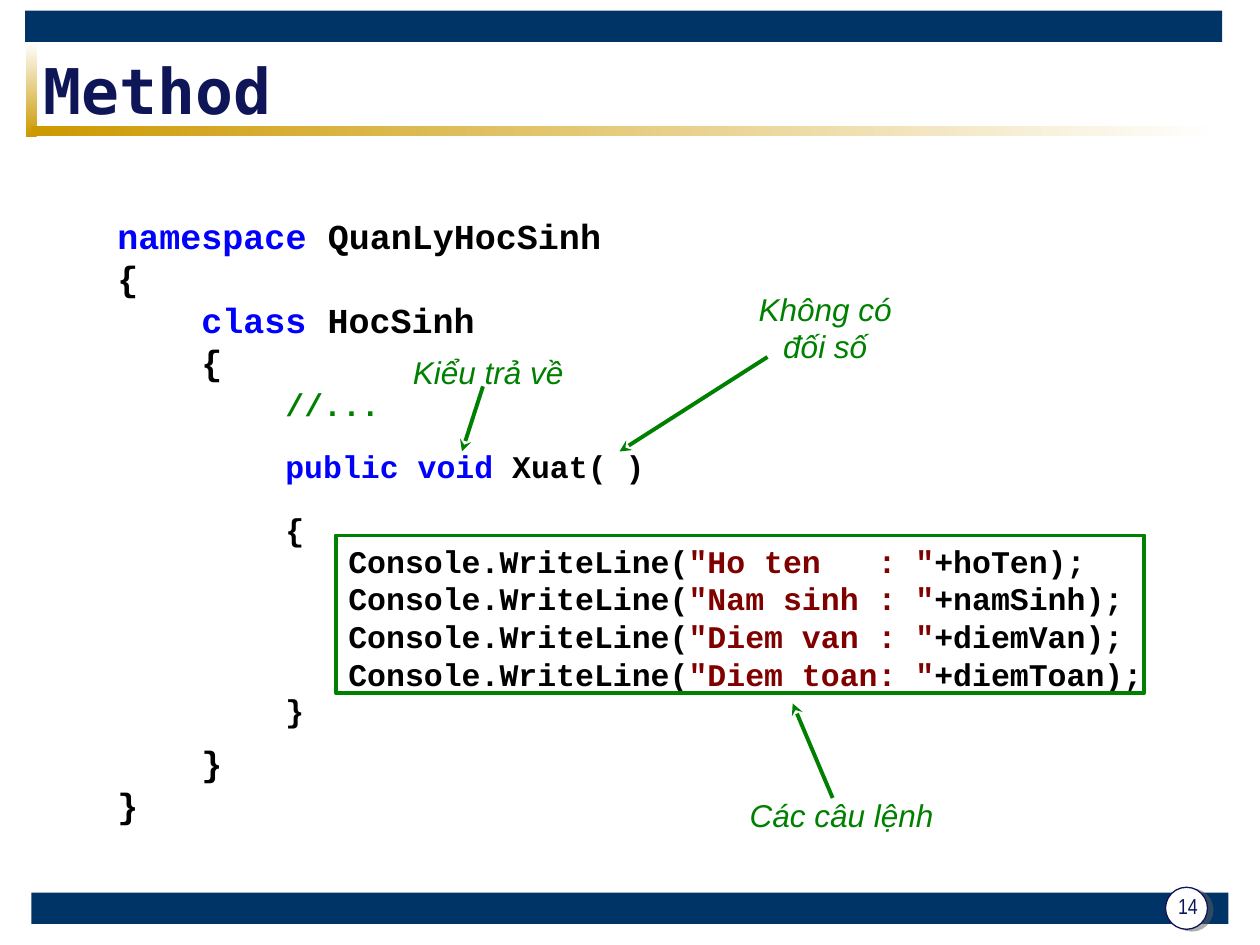
from lxml import etree
from pptx import Presentation
from pptx import util as u
from pptx.dml.color import RGBColor
from pptx.enum import shapes, text
from pptx.oxml.ns import qn

COLORS = {
    "navy": "003366", "ink": "0F1657", "gold": "CC9900", "white": "FFFFFF",
    "blue": "0000FF", "black": "000000", "green": "008000", "red": "800000",
    "gray": "5F5F5F",
}
COLS, ROWS = 120, 90
WIDE, HIGH = u.Inches(10), u.Inches(7.5)
CODE = {"name": "Courier New", "size": u.Pt(18), "bold": True}
BIG = {**CODE, "size": u.Pt(20)}
NOTE = {"name": "Arial", "size": u.Pt(18), "italic": True}
HEAD = {"name": "DejaVu Sans Mono", "size": u.Pt(36), "bold": True}
PAGE = {"name": "Arial Narrow", "size": u.Pt(12.4)}
CENTER = {"alignment": text.PP_ALIGN.CENTER}
GAP = {"space_before": u.Pt(11.2)}
STEP = u.Pt(48)


def rgb(key):
    return RGBColor.from_string(COLORS[key])


def put(item, form):
    for key, value in form.items():
        setattr(item, key, value)


def grid(*spots):
    return [round(n * (HIGH / ROWS if i % 2 else WIDE / COLS))
            for i, n in enumerate(spots)]


def block(home, at, fill=None, line=None, width=0.75,
          kind=shapes.MSO_SHAPE.RECTANGLE):
    shape = home.add_shape(kind, *grid(*at))
    shape.shadow.inherit = False
    if fill:
        shape.fill.solid()
        shape.fill.fore_color.rgb = rgb(fill)
    else:
        shape.fill.background()
    if line:
        shape.line.color.rgb = rgb(line)
        shape.line.width = u.Pt(width)
    else:
        shape.line.fill.background()
    return shape


def fade(home, at, first, last, angle):
    fill = block(home, at, first).fill
    fill.gradient()
    fill.gradient_angle = angle
    for stop, key, spot in zip(fill.gradient_stops, (first, last), (0, 1)):
        stop.color.rgb = rgb(key)
        stop.position = spot


def badge(home, at):
    disc = block(home, at, "white", "ink", kind=shapes.MSO_SHAPE.OVAL)
    effect = disc._element.spPr.find(qn("a:effectLst"))
    cast = etree.SubElement(effect, qn("a:outerShdw"), blurRad="0",
                            dist=str(u.Pt(3.2)), dir=str(18 * 60000), algn="ctr",
                            rotWithShape="0")
    tint = etree.SubElement(cast, qn("a:srgbClr"), val=COLORS["gray"])
    etree.SubElement(tint, qn("a:alpha"), val="50000")


def write(home, at, lines, font, form=None, anchor=text.MSO_ANCHOR.TOP):
    frame = home.add_textbox(*grid(*at)).text_frame
    put(frame, {"word_wrap": True, "vertical_anchor": anchor})
    for i, (depth, space, runs) in enumerate(lines):
        para = frame.add_paragraph() if i else frame.paragraphs[0]
        put(para, form or {})
        if space:
            para.space_before = u.Pt(space)
        if depth:
            para._p.get_or_add_pPr().set("marL", str(depth * STEP))
        for words, key, *size in runs:
            run = para.add_run()
            run.text = words
            put(run.font, font)
            run.font.color.rgb = rgb(key)
            if size:
                run.font.size = u.Pt(size[0])


def arrow(home, start, end):
    line = home.add_connector(shapes.MSO_CONNECTOR.STRAIGHT, *grid(*start, *end))
    line.line.color.rgb = rgb("green")
    line.line.width = u.Pt(2.25)
    props = line._element.spPr
    etree.SubElement(props.find(qn("a:ln")), qn("a:tailEnd"), type="stealth")
    etree.SubElement(props, qn("a:effectLst"))


def label(home, at, words, start, end):
    arrow(home, start, end)
    write(home, at, [(0, 0, [(words, "green")])], NOTE, {**CENTER, **GAP})


def frame(home):
    block(home, (3, 85, 114, 3), "navy")
    block(home, (2.4, 1, 114, 3), "navy")
    fade(home, (2.5, 4, 1, 9), "white", "gold", 270)
    fade(home, (3, 12, 113, 1), "gold", "white", 0)
    badge(home, (111, 84.5, 4, 4))
    middle = text.MSO_ANCHOR.MIDDLE
    write(home, (3, 5, 108, 7), [(0, 0, [("Method", "ink")])], HEAD, anchor=middle)
    write(home, (110.5, 84.4, 5.3, 4.3), [(0, 0, [("14", "ink")])], PAGE,
          {**CENTER, "line_spacing": 0.8}, middle)


def code(home):
    block(home, (9, 19.8, 102, 61.2), "white")
    write(home, (10, 19.8, 71, 61.2), [
        (0, 0, [("namespace", "blue"), (" QuanLyHocSinh", "black")]),
        (0, 0, [("{", "black")]),
        (1, 0, [("class", "blue"), (" HocSinh", "black")]),
        (1, 0, [("{", "black")]),
        (2, 1.7, [("//...", "green", 18)]),
        (1, 181.8, [("}", "black")]),
        (0, 0, [("}", "black")]),
    ], BIG)
    write(home, (26, 42, 73, 4.8),
          [(0, 0, [("public void ", "blue"), ("Xuat( )", "black")])], CODE, GAP)
    write(home, (26, 48, 60, 22.8),
          [(0, 0, [("{", "black")]), (0, 81.6, [("}", "black")])], CODE)
    pairs = [("Ho ten   : ", "hoTen"), ("Nam sinh : ", "namSinh"),
             ("Diem van : ", "diemVan"), ("Diem toan: ", "diemToan")]
    write(home, (32, 51, 79, 15.6), [
        (0, 0, [("Console.WriteLine(", "black"), (f'"{name}"', "red"),
                (f"+{field});", "black")]) for name, field in pairs], CODE)


def notes(home):
    body, kind, args = (home.add_group_shape().shapes for _ in range(3))
    block(body, (32, 51, 77, 15), line="green", width=2.25)
    label(body, (63.6, 75.2, 33.1, 4.8), "Các câu lệnh", (79.3, 76), (75.5, 67))
    label(kind, (38, 33, 17, 4.8), "Kiểu trả về", (46, 36.8), (44, 43))
    label(args, (69.1, 27, 19, 8.4), "Không có đối số", (73.1, 34), (59, 43))


def main():
    deck = Presentation()
    put(deck, {"slide_width": WIDE, "slide_height": HIGH})
    home = deck.slides.add_slide(deck.slide_layouts[6]).shapes
    frame(home)
    code(home)
    notes(home)
    deck.save("out.pptx")


if __name__ == "__main__":
    main()
